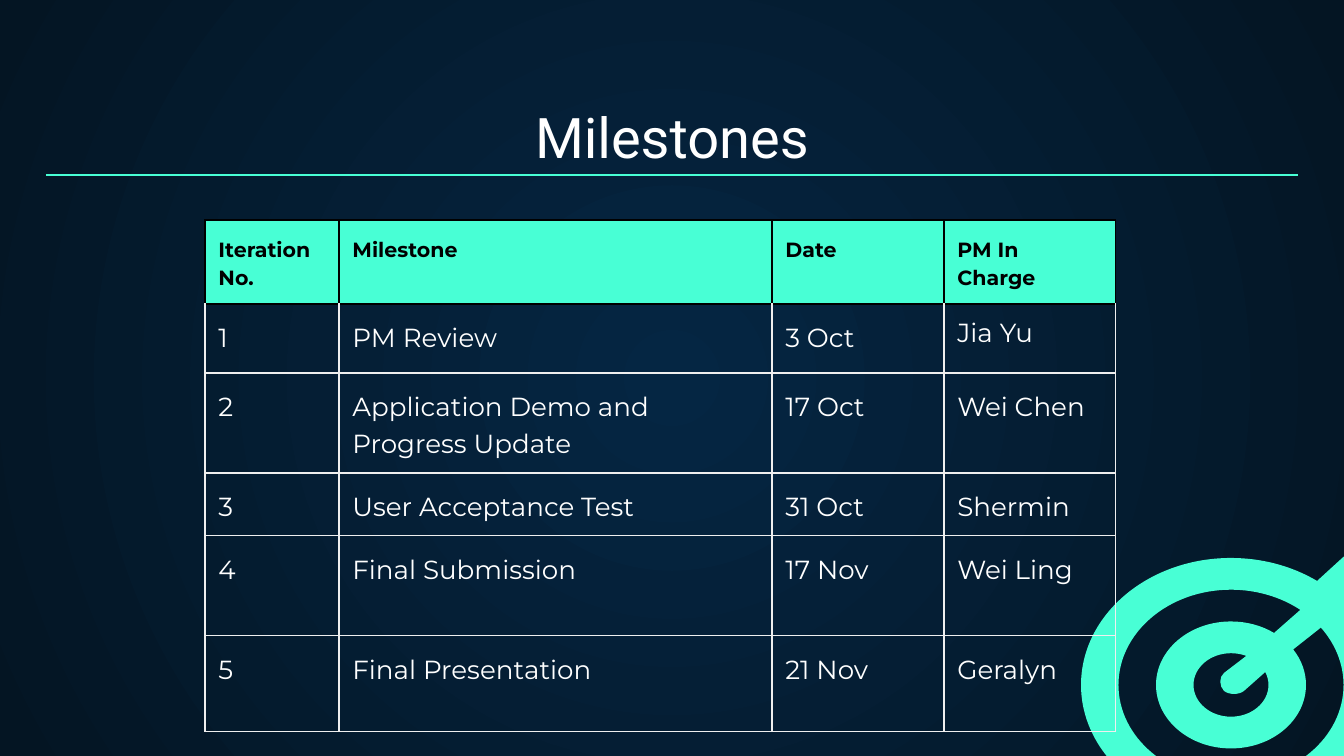
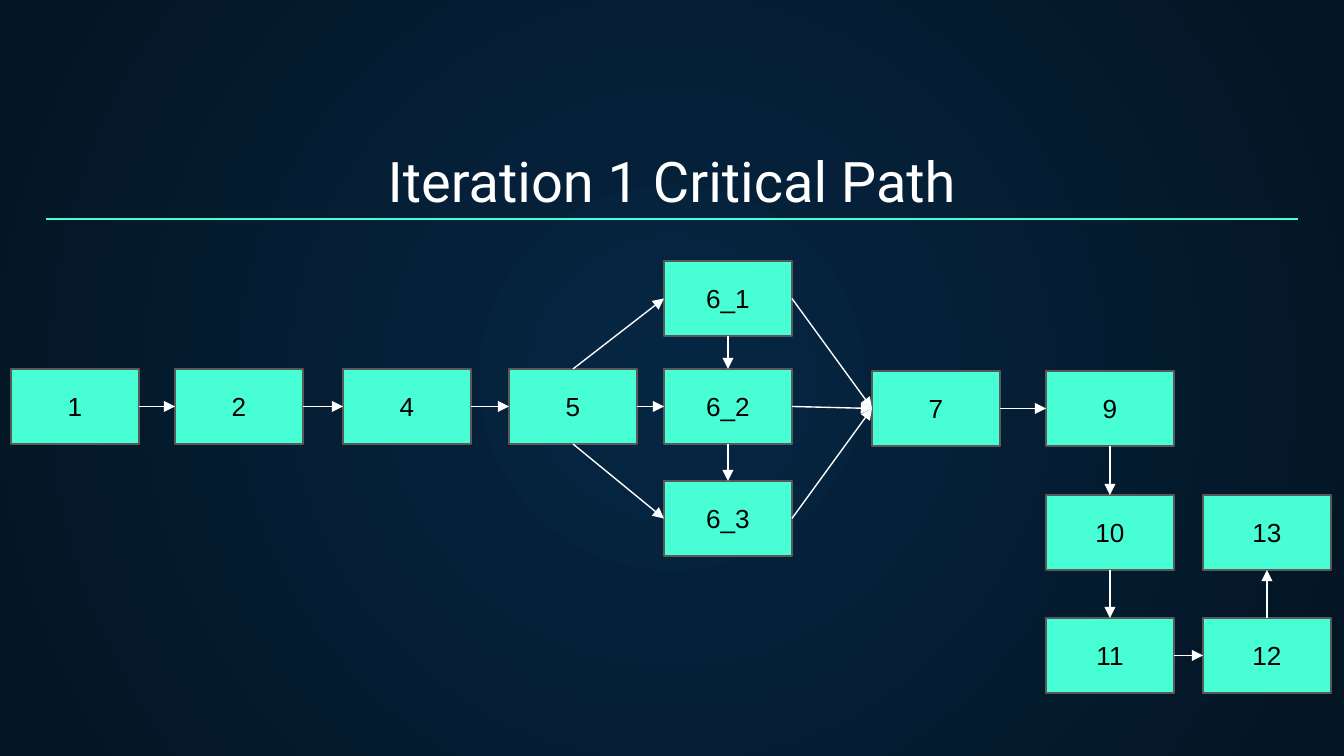
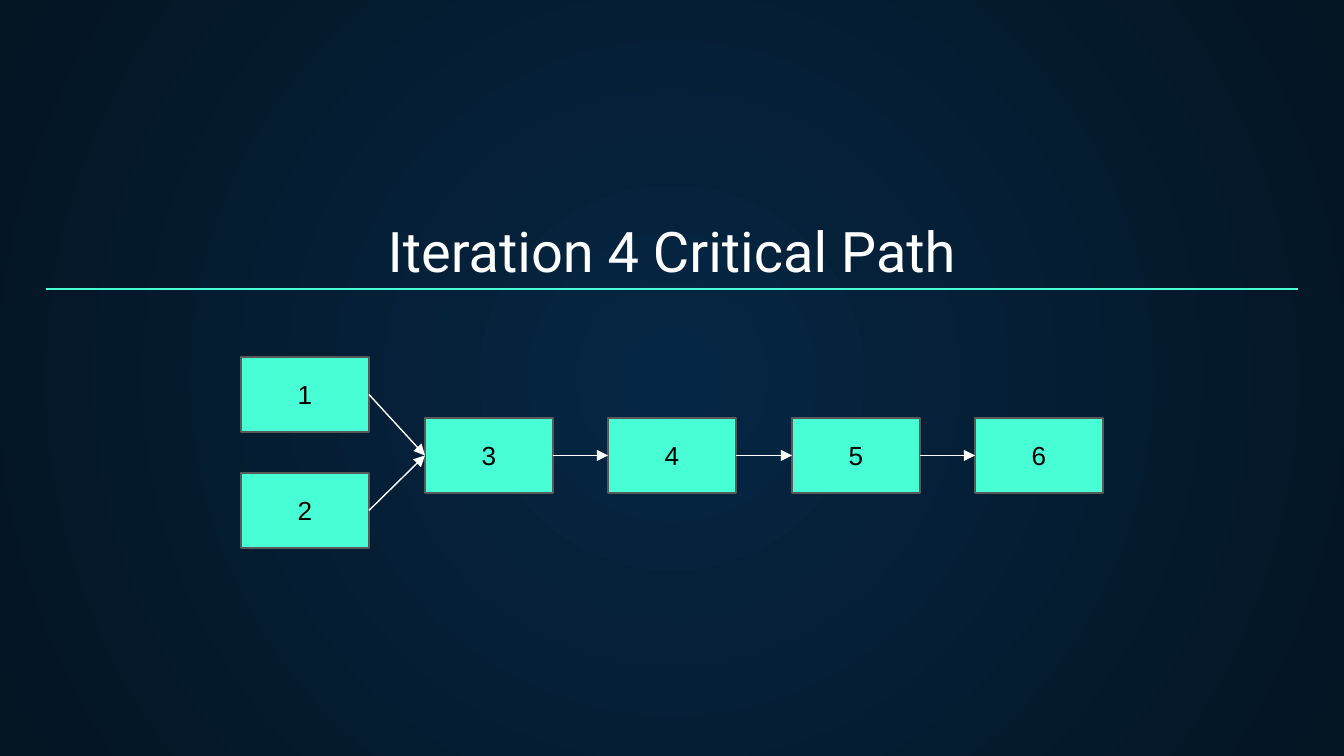
import math

import lxml.etree
import pptx
import pptx.dml.color
import pptx.enum.shapes
import pptx.enum.text
import pptx.oxml.ns
import pptx.util

PX = 914400 / 134.4
MINT, WHITE, BLACK = "48FFD5", "FFFFFF", "000000"
NODE_BORDER, CELL_BORDER = "595959", "EFEFEF"
GLOW_CENTRE, GLOW_EDGE = "052643", "041523"
INSET = pptx.util.Inches(0.1)
NODE_WIDTH, NODE_HEIGHT = 128, 75
TOP, LEFT, BOTTOM, RIGHT = range(4)  # connection sites of a rectangle

TABLE_COLUMNS = [134, 433, 172, 172]
TABLE_ROWS = [84, 69, 100, 63, 100, 96]
MILESTONES = [
    ["Iteration No.", "Milestone", "Date", "PM In Charge"],
    ["1", "PM Review", "3 Oct", "Jia Yu"],
    ["2", "Application Demo and Progress Update", "17 Oct", "Wei Chen"],
    ["3", "User Acceptance Test", "31 Oct", "Shermin"],
    ["4", "Final Submission", "17 Nov", "Wei Ling"],
    ["5", "Final Presentation", "21 Nov", "Geralyn"],
]

ITERATION_1_NODES = {
    "1": (11, 369), "2": (175, 369), "4": (343, 369), "5": (509, 369),
    "6_1": (664, 261), "6_2": (664, 369), "6_3": (664, 481),
    "7": (872, 371), "9": (1046, 371), "10": (1046, 495),
    "11": (1046, 618), "12": (1203, 618), "13": (1203, 495),
}
ITERATION_1_ARROWS = [
    ("1", RIGHT, "2", LEFT), ("2", RIGHT, "4", LEFT), ("4", RIGHT, "5", LEFT),
    ("5", TOP, "6_1", LEFT), ("5", RIGHT, "6_2", LEFT), ("5", BOTTOM, "6_3", LEFT),
    ("6_1", BOTTOM, "6_2", TOP), ("6_2", BOTTOM, "6_3", TOP),
    ("6_1", RIGHT, "7", LEFT), ("6_2", RIGHT, "7", LEFT), ("6_3", RIGHT, "7", LEFT),
    ("7", RIGHT, "9", LEFT), ("9", BOTTOM, "10", TOP), ("10", BOTTOM, "11", TOP),
    ("11", RIGHT, "12", LEFT), ("12", TOP, "13", BOTTOM),
]
ITERATION_4_NODES = {
    "1": (241, 357), "2": (241, 473), "3": (425, 418),
    "4": (608, 418), "5": (792, 418), "6": (975, 418),
}
ITERATION_4_ARROWS = [
    ("1", RIGHT, "3", LEFT), ("2", RIGHT, "3", LEFT), ("3", RIGHT, "4", LEFT),
    ("4", RIGHT, "5", LEFT), ("5", RIGHT, "6", LEFT),
]


def emu(*lengths):
    return [pptx.util.Emu(round(length * PX)) for length in lengths]


def rgb(color):
    return pptx.dml.color.RGBColor.from_string(color)


def sub_element(parent, tag, **attributes):
    return lxml.etree.SubElement(parent, pptx.oxml.ns.qn(tag), attributes)


def set_font(paragraph, name, size, color, bold=False):
    font = paragraph.font
    font.name, font.size, font.bold = name, pptx.util.Pt(size), bold
    font.color.rgb = rgb(color)


def set_insets(target):
    """Give a text frame or table cell the same margin on all sides."""
    target.margin_left = target.margin_top = INSET
    target.margin_right = target.margin_bottom = INSET


def set_background(master):
    fill = master.background.fill
    fill.gradient()
    for stop, color, position in zip(fill.gradient_stops, (GLOW_CENTRE, GLOW_EDGE), (0, 1)):
        stop.color.rgb = rgb(color)
        stop.position = position
    gradient = master.element.find(".//" + pptx.oxml.ns.qn("a:gradFill"))
    gradient.remove(gradient.find(pptx.oxml.ns.qn("a:lin")))
    circle = sub_element(gradient, "a:path", path="circle")
    sub_element(circle, "a:fillToRect", l="50000", t="50000", r="50000", b="50000")


def add_line(slide, start, end, color):
    line = slide.shapes.add_connector(
        pptx.enum.shapes.MSO_CONNECTOR.STRAIGHT, *emu(*start, *end))
    line.line.color.rgb = rgb(color)
    line.line.width = pptx.util.Pt(0.75)
    sub_element(line.element.spPr, "a:effectLst")
    return line


def add_arrow(slide, source, source_site, target, target_site):
    arrow = add_line(slide, (0, 0), (0, 0), WHITE)
    arrow.begin_connect(source, source_site)
    arrow.end_connect(target, target_site)
    sub_element(arrow.line._get_or_add_ln(), "a:tailEnd", type="triangle")


def add_titled_slide(presentation, title, top):
    slide = presentation.slides.add_slide(presentation.slide_layouts[6])
    frame = slide.shapes.add_textbox(*emu(46, top, 1252, 89)).text_frame
    frame.word_wrap = True
    frame.vertical_anchor = pptx.enum.text.MSO_ANCHOR.BOTTOM
    set_insets(frame)
    paragraph = frame.paragraphs[0]
    paragraph.text = title
    paragraph.alignment = pptx.enum.text.PP_ALIGN.CENTER
    set_font(paragraph, "Roboto", 30, WHITE)
    add_line(slide, (46, top + 81), (1298, top + 81), MINT)
    return slide


def add_node(slide, label, left, top):
    node = slide.shapes.add_shape(
        pptx.enum.shapes.MSO_SHAPE.RECTANGLE, *emu(left, top, NODE_WIDTH, NODE_HEIGHT))
    node.shadow.inherit = False
    node.fill.solid()
    node.fill.fore_color.rgb = rgb(MINT)
    node.line.color.rgb = rgb(NODE_BORDER)
    node.line.width = pptx.util.Pt(0.75)
    frame = node.text_frame
    frame.vertical_anchor = pptx.enum.text.MSO_ANCHOR.MIDDLE
    set_insets(frame)
    paragraph = frame.paragraphs[0]
    paragraph.text = label
    paragraph.alignment = pptx.enum.text.PP_ALIGN.CENTER
    set_font(paragraph, "Arial", 14, BLACK)
    return node


def add_network(slide, positions, arrows):
    nodes = {label: add_node(slide, label, *position) for label, position in positions.items()}
    for source, source_site, target, target_site in arrows:
        add_arrow(slide, nodes[source], source_site, nodes[target], target_site)


def ring_arc(ring, start, end):
    """One line to the arc's start, then one Bezier curve (three points) per quadrant."""
    def point(angle, tangent=0):
        across = math.cos(angle) - tangent * math.sin(angle)
        down = math.sin(angle) + tangent * math.cos(angle)
        return 1231 + 37.5 * ring * across, 685 + 31.75 * ring * down

    quadrants = [angle for angle in range(-360, 361, 90) if min(start, end) < angle < max(start, end)]
    stops = [math.radians(angle) for angle in sorted([start, end, *quadrants], reverse=start > end)]
    segments = [(point(stops[0]),)]
    for begin, finish in zip(stops, stops[1:]):
        reach = 4 / 3 * math.tan((finish - begin) / 4)
        segments.append((point(begin, reach), point(finish, -reach), point(finish)))
    return segments


def bend_curves(shape, segments):
    """Turn each run of three lines that stands for a curve into that curve."""
    lines = iter(list(shape.element.iter(pptx.oxml.ns.qn("a:lnTo"))))
    for segment in segments:
        parts = [next(lines) for _ in segment]
        if len(parts) == 3:
            curve = sub_element(parts[0].getparent(), "a:cubicBezTo")
            parts[0].addprevious(curve)
            for part in parts:
                curve.append(part[0])
                part.getparent().remove(part)


def add_target(slide):
    """Draw the bullseye, with gaps in its rings where the dart crosses them."""
    dart_tail = [((1391, 583),), ((1344, 590),), ((1351, 550),)]
    dart_tip = [((1224, 673),), ((1219, 677), (1219, 686), (1224, 691)),
                ((1229, 695), (1239, 695), (1244, 691))]
    contours = [
        ring_arc(4, 305, -34) + dart_tail,
        ring_arc(3, -37, 308) + ring_arc(2, 305, -34),
        ring_arc(1, -24, 294) + dart_tip,
    ]
    builder = slide.shapes.build_freeform(*emu(*contours[0][0][0]))
    for index, (first, *segments) in enumerate(contours):
        if index:
            builder.move_to(*emu(*first[0]))
        builder.add_line_segments([emu(*point) for segment in segments for point in segment], close=True)
    target = builder.convert_to_shape()
    # Closing a contour adds no line, so the lines match the segments one to one.
    bend_curves(target, [segment for contour in contours for segment in contour[1:]])
    target.shadow.inherit = False
    target.fill.solid()
    target.fill.fore_color.rgb = rgb(MINT)
    target.line.fill.background()


def set_borders(cell, color, top_color):
    properties = cell._tc.get_or_add_tcPr()
    for index, side in enumerate("LRTB"):
        border = sub_element(properties, "a:ln" + side, w="9525")
        fill = sub_element(border, "a:solidFill")
        sub_element(fill, "a:srgbClr", val=top_color if side == "T" else color)
        properties.insert(index, border)


def fill_cell(cell, text, row):
    header = row == 0
    set_insets(cell)
    paragraph = cell.text_frame.paragraphs[0]
    paragraph.text = text
    paragraph.line_spacing = 1 if text == "Jia Yu" else 1.15
    if header:
        set_font(paragraph, "Montserrat", 11, BLACK, bold=True)
        cell.fill.solid()
        cell.fill.fore_color.rgb = rgb(MINT)
    else:
        set_font(paragraph, "Montserrat", 14, WHITE)
        cell.fill.background()
    set_borders(cell, BLACK if header else CELL_BORDER, BLACK if row <= 1 else CELL_BORDER)


def add_milestone_table(slide):
    table = slide.shapes.add_table(
        len(TABLE_ROWS), len(TABLE_COLUMNS),
        *emu(205, 220, sum(TABLE_COLUMNS), sum(TABLE_ROWS))).table
    table.first_row = table.horz_banding = False
    for column, width in zip(table.columns, emu(*TABLE_COLUMNS)):
        column.width = width
    for row, height in zip(table.rows, emu(*TABLE_ROWS)):
        row.height = height
    for row, texts in enumerate(MILESTONES):
        for column, text in enumerate(texts):
            fill_cell(table.cell(row, column), text, row)


def main():
    presentation = pptx.Presentation()
    presentation.slide_width, presentation.slide_height = emu(1344, 756)
    set_background(presentation.slide_master)

    milestones = add_titled_slide(presentation, "Milestones", 94)
    add_target(milestones)
    add_milestone_table(milestones)

    iteration_1 = add_titled_slide(presentation, "Iteration 1 Critical Path", 138)
    add_network(iteration_1, ITERATION_1_NODES, ITERATION_1_ARROWS)

    iteration_4 = add_titled_slide(presentation, "Iteration 4 Critical Path", 208)
    add_network(iteration_4, ITERATION_4_NODES, ITERATION_4_ARROWS)

    presentation.save("out.pptx")


if __name__ == "__main__":
    main()
